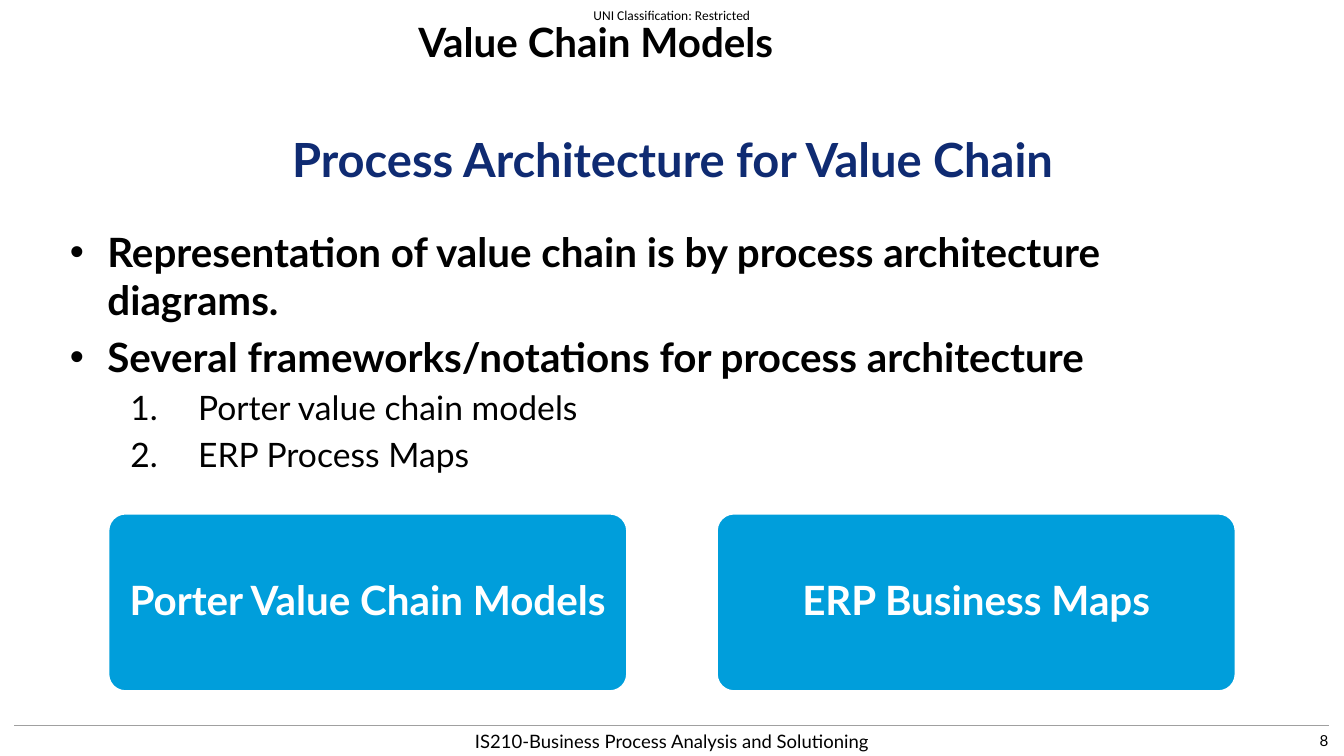
from lxml.etree import SubElement
from pptx import Presentation
from pptx.dml.color import RGBColor
from pptx.enum.shapes import MSO_CONNECTOR, MSO_SHAPE
from pptx.enum.text import MSO_ANCHOR, PP_ALIGN
from pptx.oxml.ns import qn
from pptx.util import Inches, Pt

# Content
CLASSIFICATION = "UNI Classification: Restricted"
SECTION = "Value Chain Models"
TITLE = "Process Architecture for Value Chain"
BULLETS = [
    (0, "Representation of value chain is by process architecture diagrams."),
    (0, "Several frameworks/notations for process architecture"),
    (1, "Porter value chain models"),
    (1, "ERP Process Maps"),
]
CARDS = ["Porter Value Chain Models", "ERP Business Maps"]
FOOTER = "IS210-Business Process Analysis and Solutioning"
PAGE = "8"

# Style: level -> size, bold, left margin, hanging indent, bullet tag, bullet attributes
LEVELS = {
    0: (24, True, 0.31, -0.31, "a:buChar", {"char": "•"}),
    1: (20, False, 1.06, -0.56, "a:buAutoNum", {"type": "arabicPeriod"}),
}
COLORS = {"text": "000000", "title": "0F2B72", "card": "009EDB",
          "white": "FFFFFF", "rule": "A0A0A0"}
W, H = 11.11, 6.25
CARD_LEFT, CARD_TOP, CARD_W, CARD_H, CARD_GAP = 0.89, 4.24, 4.3, 1.48, 0.73
FOOT_TOP, FOOT_H = 5.96, 0.33


def rgb(name):
    return RGBColor.from_string(COLORS[name])


def add_run(p, text, size, color="text", bold=False, font="Lato"):
    r = p.add_run()
    r.text = text
    r.font.size, r.font.bold, r.font.name = Pt(size), bold, font
    r.font.color.rgb = rgb(color)


def add_box(s, box, anchor=MSO_ANCHOR.MIDDLE):
    tf = s.shapes.add_textbox(*map(Inches, box)).text_frame
    tf.word_wrap = True
    tf.vertical_anchor = anchor
    return tf


def add_label(s, box, text, size, align=PP_ALIGN.CENTER, anchor=MSO_ANCHOR.MIDDLE, **style):
    tf = add_box(s, box, anchor)
    tf.paragraphs[0].alignment = align
    add_run(tf.paragraphs[0], text, size, **style)
    return tf


def add_bullets(s, box):
    tf = add_box(s, box, MSO_ANCHOR.TOP)
    for i, (level, text) in enumerate(BULLETS):
        size, bold, margin, indent, tag, attrs = LEVELS[level]
        p = tf.add_paragraph() if i else tf.paragraphs[0]
        p.level = level
        p.space_before = Pt(size * 0.2)
        pPr = p._p.get_or_add_pPr()
        pPr.set("marL", str(Inches(margin)))
        pPr.set("indent", str(Inches(indent)))
        SubElement(pPr, qn("a:buFont"), typeface="Arial" if level == 0 else "Lato")
        SubElement(pPr, qn(tag), **attrs)
        add_run(p, text, size, bold=bold)


def add_card(s, left, text):
    sp = s.shapes.add_shape(MSO_SHAPE.ROUNDED_RECTANGLE,
                            *map(Inches, (left, CARD_TOP, CARD_W, CARD_H)))
    sp.adjustments[0] = 0.1
    sp.shadow.inherit = False
    sp.fill.solid()
    sp.fill.fore_color.rgb = rgb("card")
    sp.line.color.rgb = rgb("white")
    sp.line.width = Pt(2)
    tf = sp.text_frame
    tf.word_wrap = True
    tf.vertical_anchor = MSO_ANCHOR.MIDDLE
    p = tf.paragraphs[0]
    p.alignment = PP_ALIGN.CENTER
    p.line_spacing = 0.9
    add_run(p, text, 24, "white", True)


def main():
    prs = Presentation()
    prs.slide_width, prs.slide_height = Inches(W), Inches(H)
    s = prs.slides.add_slide(prs.slide_layouts[6])

    # Footer rule
    rule = s.shapes.add_connector(MSO_CONNECTOR.STRAIGHT,
                                  *map(Inches, (0.12, 6, W - 0.12, 6)))
    rule.line.color.rgb = rgb("rule")
    rule.line.width = Pt(0.75)
    SubElement(rule._element.spPr, qn("a:effectLst"))

    # Header and title
    tf = add_label(s, (4.74, 0, 1.63, 0.25), CLASSIFICATION, 8, font="Calibri")
    tf.margin_left = tf.margin_right = tf.margin_top = tf.margin_bottom = 0
    add_label(s, (2.37, 0.09, 5.11, 0.5), SECTION, 24, anchor=MSO_ANCHOR.TOP, bold=True)
    add_label(s, (1.96, 1.03, 7.2, 0.57), TITLE, 28, color="title", bold=True)

    # Body and cards
    add_bullets(s, (0.48, 1.83, 10.14, 2.2))
    for i, text in enumerate(CARDS):
        add_card(s, CARD_LEFT + i * (CARD_W + CARD_GAP), text)

    # Footer
    add_label(s, (3.03, FOOT_TOP, 5.05, FOOT_H), FOOTER, 11)
    add_label(s, (8.58, FOOT_TOP, 2.5, FOOT_H), PAGE, 9, align=PP_ALIGN.RIGHT)

    prs.save("out.pptx")


if __name__ == "__main__":
    main()
